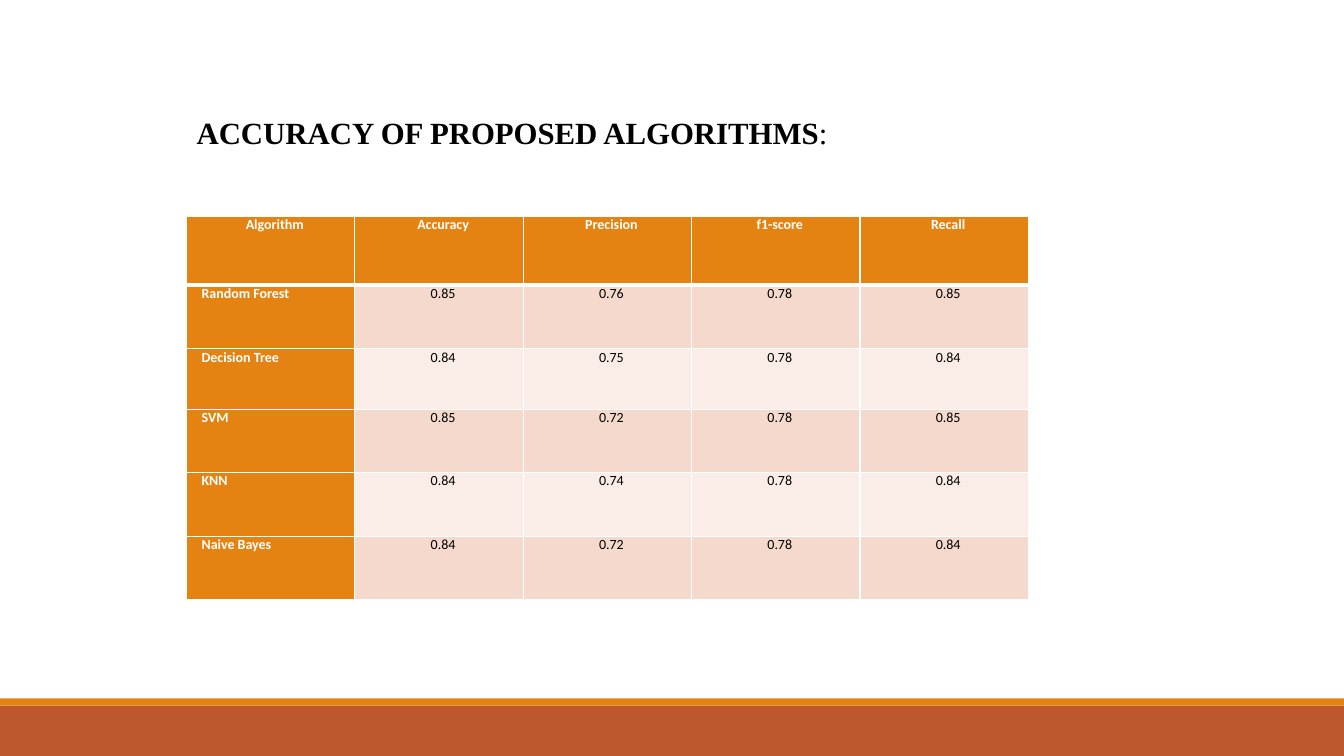
import dataclasses

import lxml.etree
import pptx
import pptx.dml.color
import pptx.enum.shapes
import pptx.enum.text
import pptx.oxml.ns
import pptx.util

Inches = pptx.util.Inches
Pt = pptx.util.Pt
RGB = pptx.dml.color.RGBColor.from_string
ALIGN = pptx.enum.text.PP_ALIGN
qn = pptx.oxml.ns.qn


@dataclasses.dataclass(frozen=True)
class Theme:
    orange: str = "E48312"
    rust: str = "BD582C"
    bands: tuple = ("F5D9CC", "FAEDE7")
    white: str = "FFFFFF"
    black: str = "000000"
    title_font: str = "Times New Roman"
    body_font: str = "Calibri"
    title_size: int = 22
    body_size: int = 10
    rule: int = 1
    header_rule: int = 3


def apply(obj, values):
    for name, value in values.items():
        setattr(obj, name, value)


class SlideBuilder:
    def __init__(self, prs, theme):
        self.theme = theme
        self.slide = prs.slides.add_slide(prs.slide_layouts[5])

    def run(self, p, text, size, font, color, bold):
        r = p.add_run()
        r.text = text
        apply(r.font, {"size": Pt(size), "name": font, "bold": bold})
        r.font.color.rgb = RGB(color)

    def bar(self, x, y, w, h, color):
        sp = self.slide.shapes.add_shape(
            pptx.enum.shapes.MSO_SHAPE.RECTANGLE,
            Inches(x), Inches(y), Inches(w), Inches(h))
        sp.shadow.inherit = False
        sp.fill.solid()
        sp.fill.fore_color.rgb = RGB(color)
        sp.line.fill.background()

    def title(self, x, y, w, h, parts):
        t = self.theme
        sp = self.slide.shapes.title
        apply(sp, {"left": Inches(x), "top": Inches(y),
                   "width": Inches(w), "height": Inches(h)})
        tf = sp.text_frame
        apply(tf, {"word_wrap": True,
                   "auto_size": pptx.enum.text.MSO_AUTO_SIZE.SHAPE_TO_FIT_TEXT,
                   "vertical_anchor": pptx.enum.text.MSO_ANCHOR.TOP})
        p = tf.paragraphs[0]
        p.alignment = ALIGN.LEFT
        for text, bold in parts:
            self.run(p, text, t.title_size, t.title_font, t.black, bold)

    def borders(self, cell, widths):
        tc_pr = cell._tc.get_or_add_tcPr()
        for side, width in widths.items():
            ln = lxml.etree.SubElement(tc_pr, qn(f"a:ln{side}"), w=str(Pt(width)))
            fill = lxml.etree.SubElement(ln, qn("a:solidFill"))
            lxml.etree.SubElement(fill, qn("a:srgbClr"), val=self.theme.white)

    def cell(self, cell, text, row, col):
        t = self.theme
        heading = row == 0 or col == 0
        apply(cell, {"margin_left": Inches(0.07), "margin_right": Inches(0.07),
                     "margin_top": 0, "margin_bottom": 0})
        self.borders(cell, {"L": t.rule, "R": t.rule,
                            "T": t.header_rule if row == 1 else t.rule,
                            "B": t.header_rule if row == 0 else t.rule})
        cell.fill.solid()
        cell.fill.fore_color.rgb = RGB(t.orange if heading else t.bands[(row - 1) % 2])
        p = cell.text_frame.paragraphs[0]
        p.alignment = ALIGN.LEFT if col == 0 and row else ALIGN.CENTER
        p_pr = p._p.get_or_add_pPr()
        p_pr.set("marL", str(Inches(0.27)))
        p_pr.set("indent", str(Inches(-0.19)))
        self.run(p, text, t.body_size, t.body_font,
                 t.white if heading else t.black, heading)

    def table(self, x, y, w, heights, rows):
        table = self.slide.shapes.add_table(
            len(rows), len(rows[0]), Inches(x), Inches(y),
            Inches(w), Inches(sum(heights))).table
        apply(table, {"first_row": True, "first_col": True, "horz_banding": True})
        for i, (height, values) in enumerate(zip(heights, rows)):
            table.rows[i].height = Inches(height)
            for j, text in enumerate(values):
                self.cell(table.cell(i, j), text, i, j)


SCORES = [
    ("Algorithm", "Accuracy", "Precision", "f1-score", "Recall"),
    ("Random Forest", "0.85", "0.76", "0.78", "0.85"),
    ("Decision Tree", "0.84", "0.75", "0.78", "0.84"),
    ("SVM", "0.85", "0.72", "0.78", "0.85"),
    ("KNN", "0.84", "0.74", "0.78", "0.84"),
    ("Naive Bayes", "0.84", "0.72", "0.78", "0.84"),
]


def main():
    prs = pptx.Presentation()
    apply(prs, {"slide_width": Inches(13.33), "slide_height": Inches(7.5)})
    theme = Theme()
    s = SlideBuilder(prs, theme)
    s.bar(0, 7, 13.33, 0.5, theme.rust)
    s.bar(0, 6.93, 13.33, 0.07, theme.orange)
    s.title(1.85, 1.08, 6.48, 0.47,
            [("ACCURACY OF PROPOSED ALGORITHMS", True), (":", False)])
    s.table(1.85, 2.15, 8.35, [0.68, 0.63, 0.6, 0.63, 0.63, 0.63], SCORES)
    prs.save("out.pptx")


if __name__ == "__main__":
    main()
